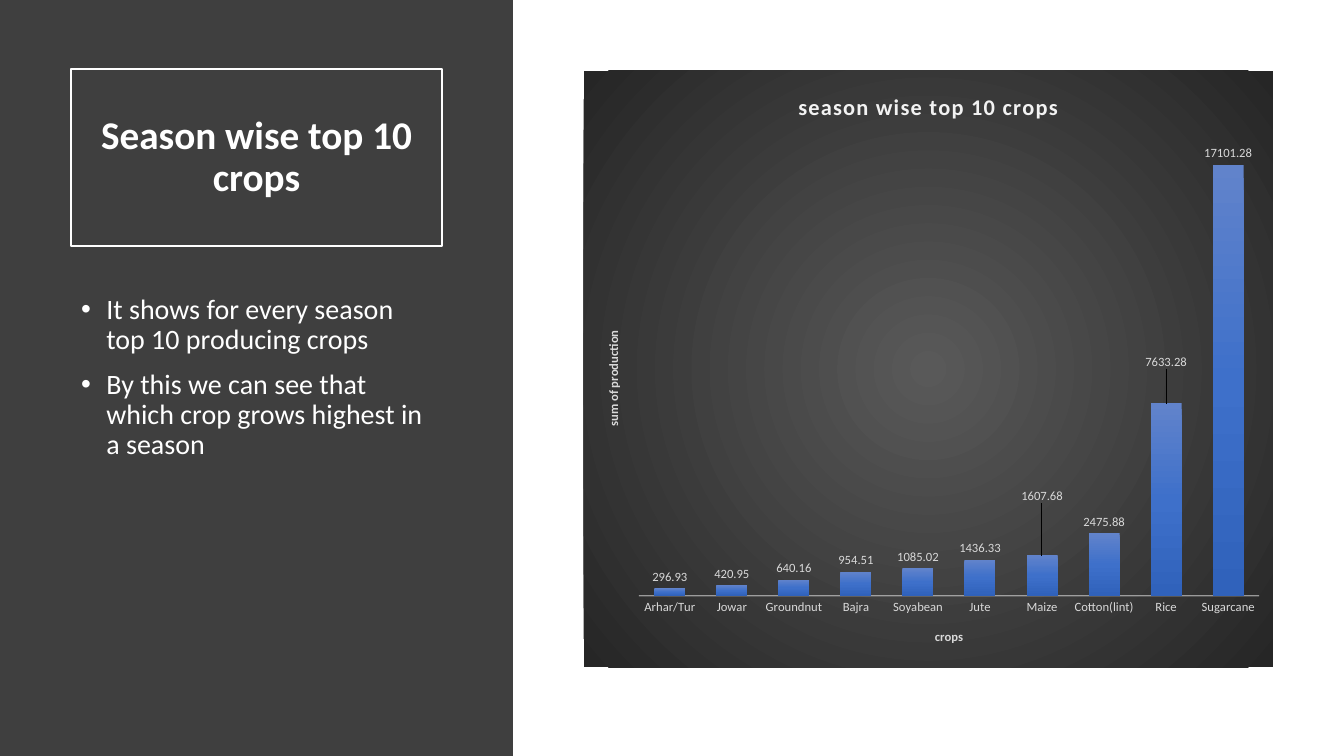
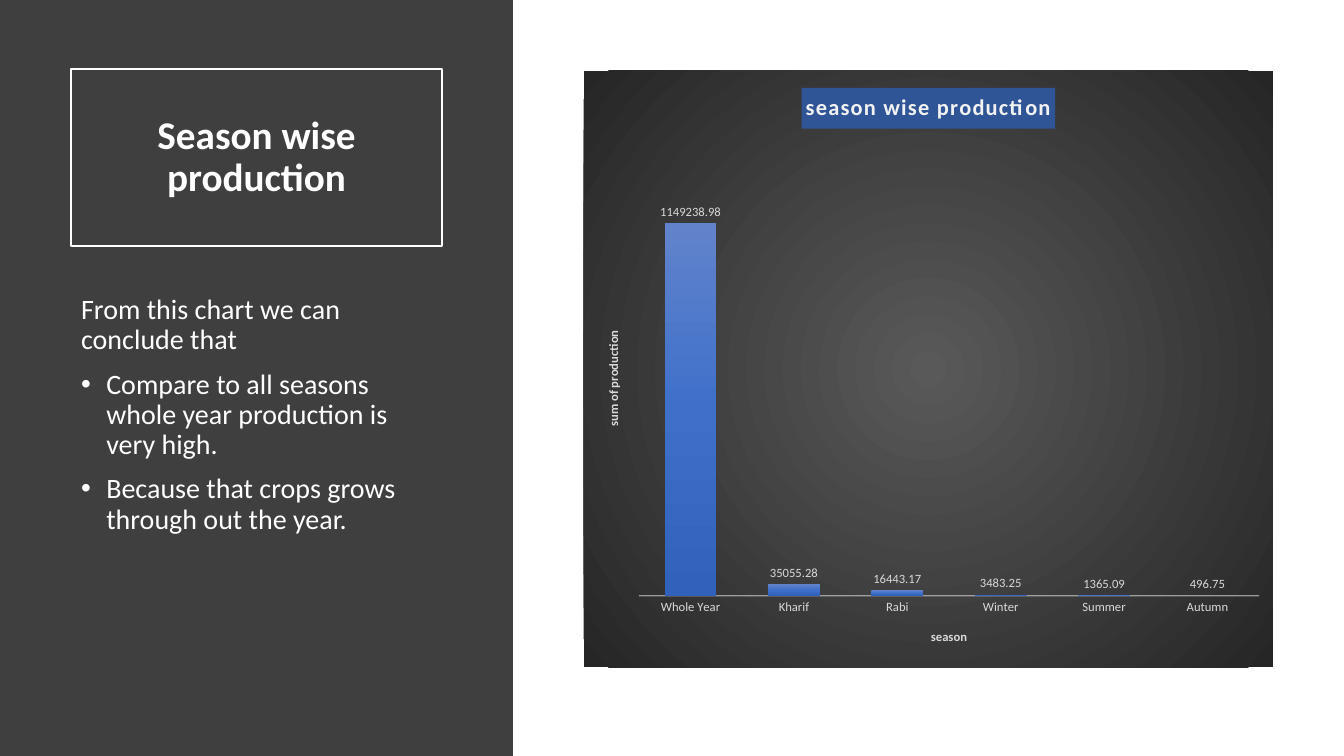
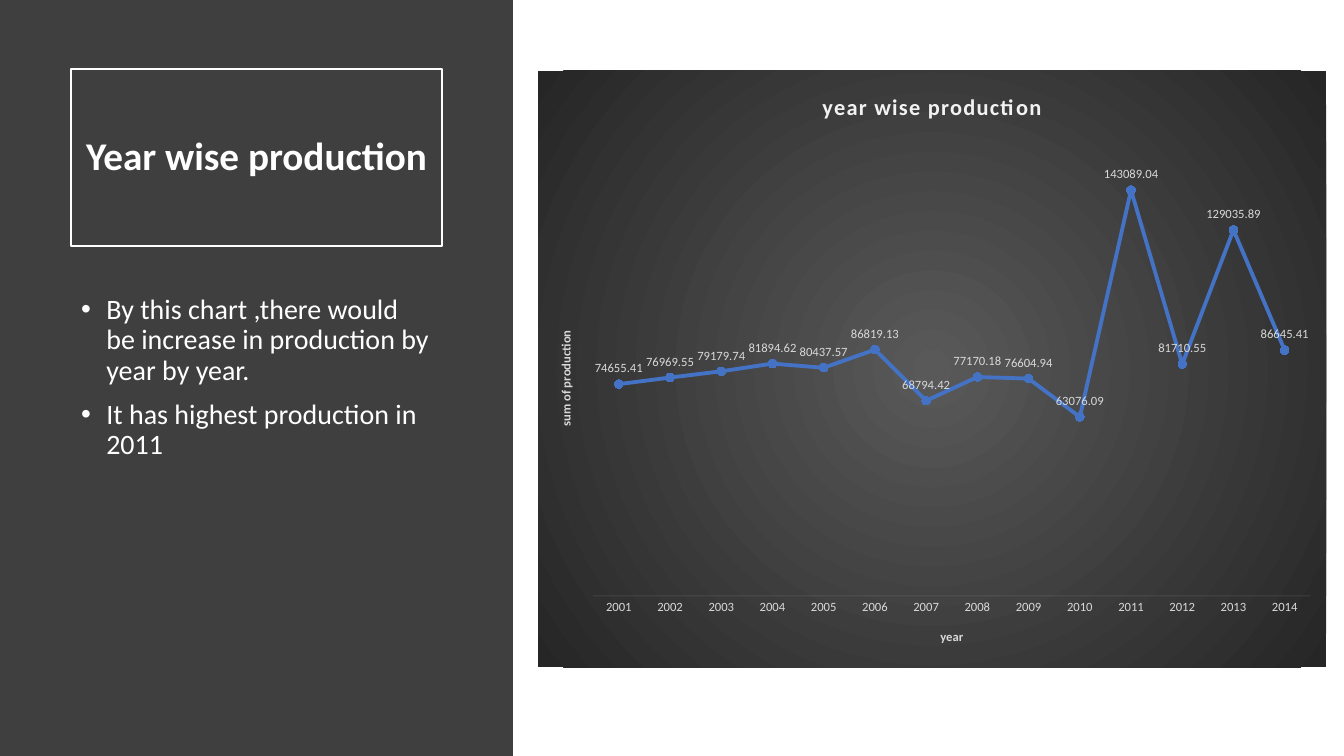
from lxml import etree
from pptx import Presentation
from pptx import util as u
from pptx.chart import data as chart_data
from pptx.dml import color
from pptx.enum import chart as ch, shapes, text
from pptx.oxml import ns, parse_xml

FONT = "Calibri"
PANEL, WHITE, PALE, GREY = "3F3F3F", "FFFFFF", "F2F2F2", "D9D9D9"
BLUE, MARKER_BLUE, TITLE_BLUE = "4472C4", "3E70CA", "2F5597"
BACKDROP = [(0, "595959"), (100, "262626")]
BAR_BLUES = [(0, "6183CB"), (50, "3E70CA"), (100, "3062BB")]
VALUE_TITLE = "sum of production"

# Content: body lines are (text, bulleted); lifts raise single labels by a share of chart height
SLIDES = [
    dict(
        title="Season wise top 10 crops",
        body=[("It shows for every season top 10 producing crops", True),
              ("By this we can see that which crop grows highest in a season", True)],
        kind="column", chart_title="season wise top 10 crops", category_title="crops",
        top=18000, lifts={6: -0.08, 8: -0.05},
        values={"Arhar/Tur": 296.93, "Jowar": 420.95, "Groundnut": 640.16,
                "Bajra": 954.51, "Soyabean": 1085.02, "Jute": 1436.33, "Maize": 1607.68,
                "Cotton(lint)": 2475.88, "Rice": 7633.28, "Sugarcane": 17101.28}),
    dict(
        title="Season wise production",
        body=[("From this chart we can conclude that", False),
              ("Compare to all seasons whole year production is very high.", True),
              ("Because that crops grows through out the year.", True)],
        kind="column", chart_title="season wise production", category_title="season",
        top=1400000, title_fill=TITLE_BLUE,
        values={"Whole Year": 1149238.98, "Kharif": 35055.28, "Rabi": 16443.17,
                "Winter": 3483.25, "Summer": 1365.09, "Autumn": 496.75}),
    dict(
        title="Year wise production",
        body=[("By this chart ,there would be\u00a0increase in production by year by year.", True),
              ("It has highest production in 2011", True)],
        kind="line", chart_title="year wise production", category_title="year",
        top=160000,
        values=dict(zip(map(str, range(2001, 2015)), [
            74655.41, 76969.55, 79179.74, 81894.62, 80437.57, 86819.13, 68794.42,
            77170.18, 76604.94, 63076.09, 143089.04, 81710.55, 129035.89, 86645.41]))),
]

# Places in cm: left, top, width, height; plot areas as shares of the chart
TITLE_BOX = (1.79, 1.74, 9.35, 4.47)
BODY_BOX = (1.79, 7.32, 9.35, 9.5)
KINDS = {
    "column": dict(type=ch.XL_CHART_TYPE.COLUMN_CLUSTERED, box=(14.71, 1.78, 17.37, 15.04),
                   plot=(0.08, 0.12, 0.9, 0.76), axis=(1, 54),
                   label=ch.XL_LABEL_POSITION.OUTSIDE_END),
    "line": dict(type=ch.XL_CHART_TYPE.LINE_MARKERS, box=(13.56, 1.78, 19.86, 15.04),
                 plot=(0.07, 0.12, 0.91, 0.76), axis=(0.75, 10),
                 label=ch.XL_LABEL_POSITION.ABOVE),
}


def rgb(hex_code):
    return color.RGBColor.from_string(hex_code)


def cm(box):
    return [u.Cm(length) for length in box]


def style(font, size, hex_code, bold=False):
    font.name, font.size, font.bold = FONT, u.Pt(size), bold
    font.color.rgb = rgb(hex_code)


def place(holder, box):
    holder.left, holder.top, holder.width, holder.height = cm(box)
    holder.text_frame.auto_size = text.MSO_AUTO_SIZE.NONE
    return holder.text_frame


def gradient(stops, direction):
    marks = "".join(f'<a:gs pos="{pos * 1000}"><a:srgbClr val="{code}"/></a:gs>'
                    for pos, code in stops)
    return parse_xml(f'<a:gradFill {ns.nsdecls("a")}><a:gsLst>{marks}</a:gsLst>'
                     f'{direction}</a:gradFill>')


def layout(**shares):
    parts = "".join(f'<c:{name} val="{value}"/>' for name, value in shares.items())
    return parse_xml(f'<c:layout {ns.nsdecls("c")}><c:manualLayout>{parts}'
                     '</c:manualLayout></c:layout>')


# Left side: dark panel, framed title, list
def add_panel(slide):
    panel = slide.shapes.add_shape(shapes.MSO_SHAPE.RECTANGLE, 0, 0, u.Cm(12.93), deck.slide_height)
    panel.shadow.inherit = False
    panel.fill.solid()
    panel.fill.fore_color.rgb = rgb(PANEL)
    panel.line.fill.background()
    slide.shapes._spTree.insert(2, panel._element)


def add_title(slide, words):
    title = slide.shapes.title
    frame = place(title, TITLE_BOX)
    title.line.color.rgb = rgb(WHITE)
    title.line.width = u.Pt(1.5)
    frame.text = words
    frame.vertical_anchor = text.MSO_ANCHOR.MIDDLE
    line = frame.paragraphs[0]
    line.alignment, line.line_spacing = text.PP_ALIGN.CENTER, 0.9
    style(line.font, 28, WHITE, bold=True)


def add_body(slide, lines):
    frame = place(slide.placeholders[1], BODY_BOX)
    frame.text = "\n".join(words for words, _ in lines)
    for line, (_, bulleted) in zip(frame.paragraphs, lines):
        line.line_spacing, line.space_before = 0.9, u.Pt(10)
        style(line.font, 20, WHITE)
        props = line._p.get_or_add_pPr()
        indent = u.Cm(0.635) if bulleted else 0
        props.set("marL", str(indent))
        props.set("indent", str(-indent))
        if bulleted:
            etree.SubElement(props, ns.qn("a:buFont")).set("typeface", "Arial")
            etree.SubElement(props, ns.qn("a:buChar")).set("char", "\u2022")
        else:
            etree.SubElement(props, ns.qn("a:buNone"))
        props.append(props.find(ns.qn("a:defRPr")))


# Right side: chart
def set_heading(heading, words, size, hex_code, spacing=0):
    run = heading.text_frame.paragraphs[0].add_run()
    run.text = words
    style(run.font, size, hex_code, bold=True)
    run._r.get_or_add_rPr().set("spc", str(spacing))


def style_axes(chart, content, kind):
    category, value = chart.category_axis, chart.value_axis
    for axis, words in ((category, content["category_title"]), (value, VALUE_TITLE)):
        axis.has_major_gridlines = False
        axis.major_tick_mark = ch.XL_TICK_MARK.NONE
        set_heading(axis.axis_title, words, 9, GREY)
    style(category.tick_labels.font, 9, GREY)
    width, opacity = kind["axis"]
    category.format.line.width = u.Pt(width)
    category.format.line.color.rgb = rgb(PALE)
    tint = category.format.line._ln.find(".//" + ns.qn("a:srgbClr"))
    etree.SubElement(tint, ns.qn("a:alpha")).set("val", str(opacity * 1000))
    value.minimum_scale, value.maximum_scale = 0, content["top"]
    value.visible = False


def style_labels(series, content, kind):
    labels = series.data_labels
    labels.show_value = True
    labels.number_format, labels.number_format_is_linked = "0.00", False
    labels.position = kind["label"]
    style(labels.font, 9, GREY)
    for index, lift in content.get("lifts", {}).items():
        label = series.points[index].data_label
        style(label.font, 9, GREY)
        mark = label._get_or_add_dLbl()
        mark.find(ns.qn("c:idx")).addnext(layout(x=0, y=lift))


def style_series(plot, series):
    if isinstance(plot.categories, object) and hasattr(plot, "gap_width"):
        plot.gap_width, plot.overlap = 100, -24
        series.invert_if_negative = False
        series._element.get_or_add_spPr().append(gradient(BAR_BLUES, '<a:lin ang="5400000" scaled="0"/>'))
        return
    series.smooth = False
    series.format.line.color.rgb = rgb(BLUE)
    series.format.line.width = u.Pt(2.75)
    marker = series.marker
    marker.style, marker.size = ch.XL_MARKER_STYLE.CIRCLE, 6
    marker.format.fill.solid()
    marker.format.fill.fore_color.rgb = rgb(MARKER_BLUE)
    marker.format.line.fill.background()


def add_chart(slide, content):
    kind = KINDS[content["kind"]]
    numbers = chart_data.CategoryChartData(number_format="0.00")
    numbers.categories = list(content["values"])
    numbers.add_series("Series 1", list(content["values"].values()))
    chart = slide.shapes.add_chart(kind["type"], *cm(kind["box"]), numbers).chart
    style(chart.font, 10, WHITE)
    chart.has_legend = False
    chart.has_title = True
    set_heading(chart.chart_title, content["chart_title"], 16, PALE, spacing=100)
    if "title_fill" in content:
        chart.chart_title.format.fill.solid()
        chart.chart_title.format.fill.fore_color.rgb = rgb(content["title_fill"])

    plot = chart.plots[0]
    plot.vary_by_categories = False
    style_series(plot, plot.series[0])
    style_labels(plot.series[0], content, kind)
    style_axes(chart, content, kind)

    # Plot area and round gradient backdrop
    area = chart._chartSpace.chart.plotArea
    for old in area.findall(ns.qn("c:layout")):
        area.remove(old)
    x, y, w, h = kind["plot"]
    area.insert(0, layout(layoutTarget="inner", xMode="edge", yMode="edge", x=x, y=y, w=w, h=h))
    backdrop = parse_xml(f'<c:spPr {ns.nsdecls("c", "a")}><a:ln><a:noFill/></a:ln></c:spPr>')
    backdrop.insert(0, gradient(BACKDROP, '<a:path path="circle"><a:fillToRect l="50000" '
                                          't="50000" r="50000" b="50000"/></a:path>'))
    chart._chartSpace.chart.addnext(backdrop)


deck = Presentation()
deck.slide_width, deck.slide_height = u.Cm(33.87), u.Cm(19.05)
for content in SLIDES:
    slide = deck.slides.add_slide(deck.slide_layouts[1])
    add_panel(slide)
    add_title(slide, content["title"])
    add_body(slide, content["body"])
    add_chart(slide, content)
deck.save("out.pptx")
